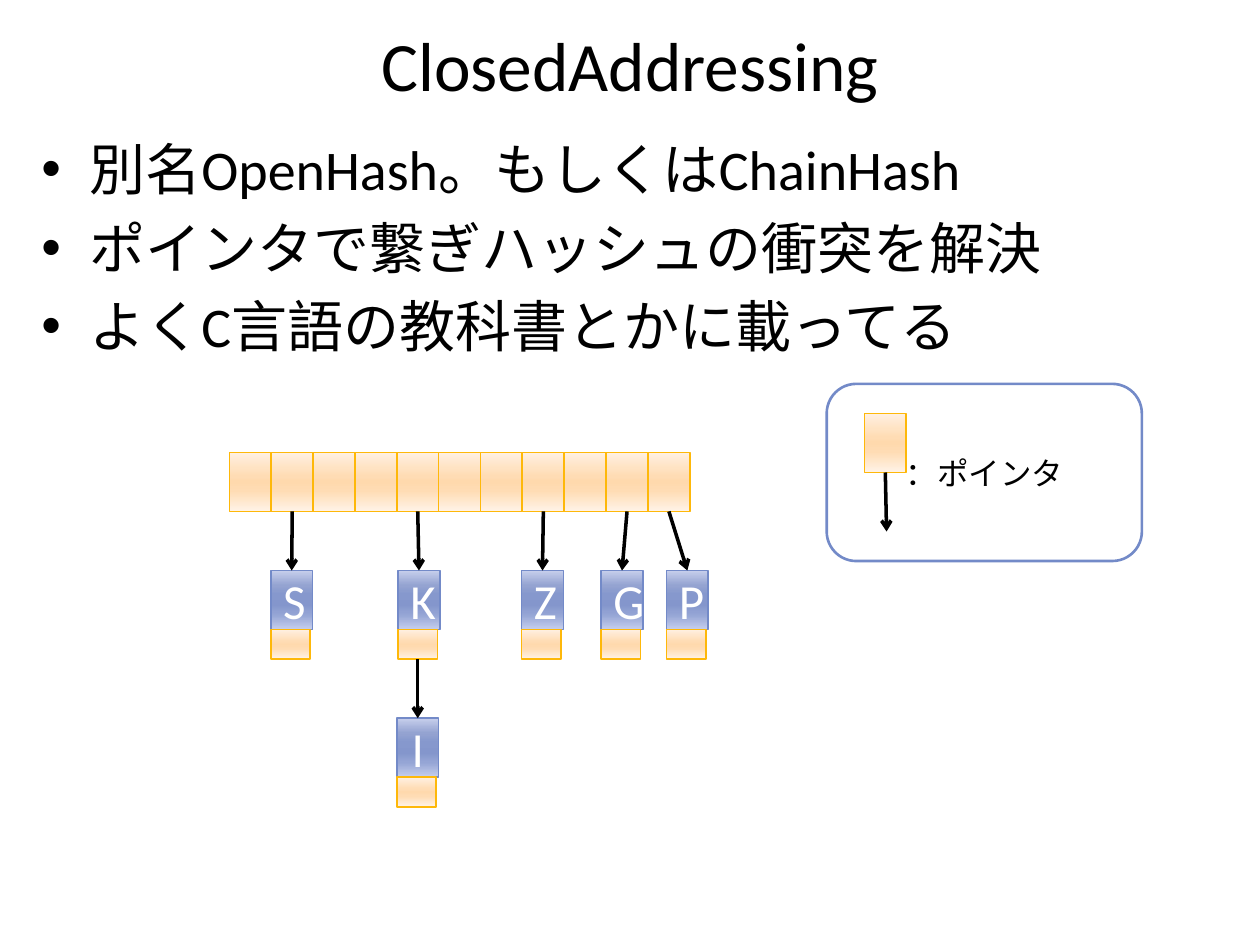
from dataclasses import dataclass

from lxml.etree import SubElement
from pptx import Presentation
from pptx.dml.color import RGBColor as Rgb
from pptx.enum.shapes import MSO_CONNECTOR as Link, MSO_SHAPE as Kind
from pptx.enum.text import MSO_ANCHOR as Anchor, PP_ALIGN as Align
from pptx.oxml import parse_xml
from pptx.oxml.ns import nsdecls, qn
from pptx.util import Inches, Pt

WIDE, HIGH = 10, 7.5
COL, ROW = WIDE / 30.1, HIGH / 16


@dataclass(frozen=True)
class Theme:
    font: str = "Calibri"
    ink: str = "000000"
    paper: str = "FFFFFF"
    blue: str = "738AC8"
    gold: str = "FEB80A"
    peach: tuple = ((0, "FFF0E1"), (40, "FFDCB4"), (50, "FFD9AD"),
                    (65, "FFDCB4"), (100, "FFF3E7"))
    steel: tuple = ((0, "C7CFEC"), (25, "94A3D1"), (40, "8698CD"), (50, "8496CC"),
                    (60, "8698CD"), (75, "95A5D5"), (100, "C5CEED"))
    title: float = 39.6
    body: float = 32
    key: float = 28
    note: float = 18
    edge: float = 0.94
    frame: float = 1.5
    arrow: float = 2


@dataclass(frozen=True)
class Box:
    """An area counted in grid columns and rows."""
    col: float
    row: float
    wide: float = 1
    high: float = 1

    def area(self) -> tuple:
        return (Inches(self.col * COL), Inches(self.row * ROW),
                Inches(self.wide * COL), Inches(self.high * ROW))

    def head(self) -> tuple:
        return self.col + self.wide / 2, self.row

    def foot(self) -> tuple:
        return self.col + self.wide / 2, self.row + self.high


@dataclass(frozen=True)
class Node:
    key: str
    col: float
    slot: int
    level: int = 0


THEME = Theme()
SLOTS = 11
TABLE = Box(5.48, 7.66)
STEP = 2.5
NODES = (Node("S", 6.47, 1), Node("K", 9.51, 4), Node("Z", 12.46, 7),
         Node("G", 14.36, 9), Node("P", 15.92, 10), Node("I", 9.48, 4, 1))
LEGEND = Box(19.75, 6.5, 7.53, 3)
SAMPLE = Box(20.65, 7)
POINTS = ("別名OpenHash。もしくはChainHash",
          "ポインタで繋ぎハッシュの衝突を解決",
          "よくC言語の教科書とかに載ってる")


def style(para, size: float, tint: str, align=Align.CENTER) -> None:
    para.alignment = align
    for run in para.runs:
        run.font.name, run.font.size = THEME.font, Pt(size)
        run.font.color.rgb = Rgb.from_string(tint)


def shade(shape, stops: tuple) -> None:
    """Fill a shape with a top-to-bottom gradient."""
    shape.fill.gradient()
    shape.fill.gradient_angle = 270
    marks = shape._element.spPr.find(qn("a:gradFill")).find(qn("a:gsLst"))
    for old in list(marks):
        marks.remove(old)
    for place, tint in stops:
        stop = SubElement(marks, qn("a:gs"), pos=str(place * 1000))
        SubElement(stop, qn("a:srgbClr"), val=tint)


def add_box(slide, box: Box, line: str, stops: tuple = (), text: str = "",
            size: float = THEME.key, tint: str = THEME.paper,
            kind=Kind.RECTANGLE, width: float = THEME.edge):
    shape = slide.shapes.add_shape(kind, *box.area())
    shape.shadow.inherit = False
    if stops:
        shade(shape, stops)
    else:
        shape.fill.solid()
        shape.fill.fore_color.rgb = Rgb.from_string(THEME.paper)
    shape.line.color.rgb = Rgb.from_string(line)
    shape.line.width = Pt(width)
    if text:
        frame = shape.text_frame
        frame.text, frame.word_wrap = text, True
        frame.vertical_anchor = Anchor.MIDDLE
        style(frame.paragraphs[0], size, tint)


def add_arrow(slide, start: tuple, end: tuple) -> None:
    ends = [Inches(n * unit) for spot in (start, end)
            for n, unit in zip(spot, (COL, ROW))]
    link = slide.shapes.add_connector(Link.STRAIGHT, *ends)
    link.line.color.rgb = Rgb.from_string(THEME.ink)
    link.line.width = Pt(THEME.arrow)
    SubElement(link.line._get_or_add_ln(), qn("a:tailEnd"), type="arrow")
    SubElement(link._element.spPr, qn("a:effectLst"))


def add_title(slide, text: str) -> None:
    title = slide.shapes.title
    title.left, title.top = Inches(0.05 * WIDE), Inches(0.16)
    title.width, title.height = Inches(0.9 * WIDE), Inches(0.7)
    title.text_frame.text = text
    title.text_frame.vertical_anchor = Anchor.MIDDLE
    style(title.text_frame.paragraphs[0], THEME.title, THEME.ink)


def add_points(slide) -> None:
    area = slide.shapes.add_textbox(Inches(0.23), Inches(1.02),
                                    Inches(9.53), Inches(2.11))
    frame = area.text_frame
    frame.word_wrap = True
    frame.text = "\n".join(POINTS)
    for i, para in enumerate(frame.paragraphs):
        props = para._p.get_or_add_pPr()
        props.set("marL", str(Inches(0.38)))
        props.set("indent", str(Inches(-0.38)))
        props.append(parse_xml(f'<a:buFont {nsdecls("a")} typeface="Arial"/>'))
        props.append(parse_xml(f'<a:buChar {nsdecls("a")} char="•"/>'))
        if i:
            para.space_before = Pt(0.2 * THEME.body)
        style(para, THEME.body, THEME.ink, Align.LEFT)


def add_table(slide) -> list:
    slots = [Box(TABLE.col + i, TABLE.row) for i in range(SLOTS)]
    for slot in slots:
        add_box(slide, slot, THEME.gold, THEME.peach)
    return slots


def add_chains(slide, slots: list) -> None:
    tails = dict(enumerate(slots))
    for node in NODES:
        cell = Box(node.col, TABLE.row + 2 + STEP * node.level)
        tail = Box(node.col, cell.row + 1, 0.94, 0.5)
        add_box(slide, cell, THEME.blue, THEME.steel, node.key)
        add_box(slide, tail, THEME.gold, THEME.peach)
        add_arrow(slide, tails[node.slot].foot(), cell.head())
        tails[node.slot] = tail


def add_legend(slide) -> None:
    add_box(slide, LEGEND, THEME.blue, text="：ポインタ", size=THEME.note,
            tint=THEME.ink, kind=Kind.ROUNDED_RECTANGLE, width=THEME.frame)
    add_box(slide, SAMPLE, THEME.gold, THEME.peach)
    col, row = SAMPLE.foot()
    add_arrow(slide, (col, row), (col + 0.03, row + 1))


def main() -> None:
    deck = Presentation()
    deck.slide_width, deck.slide_height = Inches(WIDE), Inches(HIGH)
    slide = deck.slides.add_slide(deck.slide_layouts.get_by_name("Title Only"))
    add_title(slide, "ClosedAddressing")
    add_points(slide)
    add_chains(slide, add_table(slide))
    add_legend(slide)
    deck.save("out.pptx")


if __name__ == "__main__":
    main()
